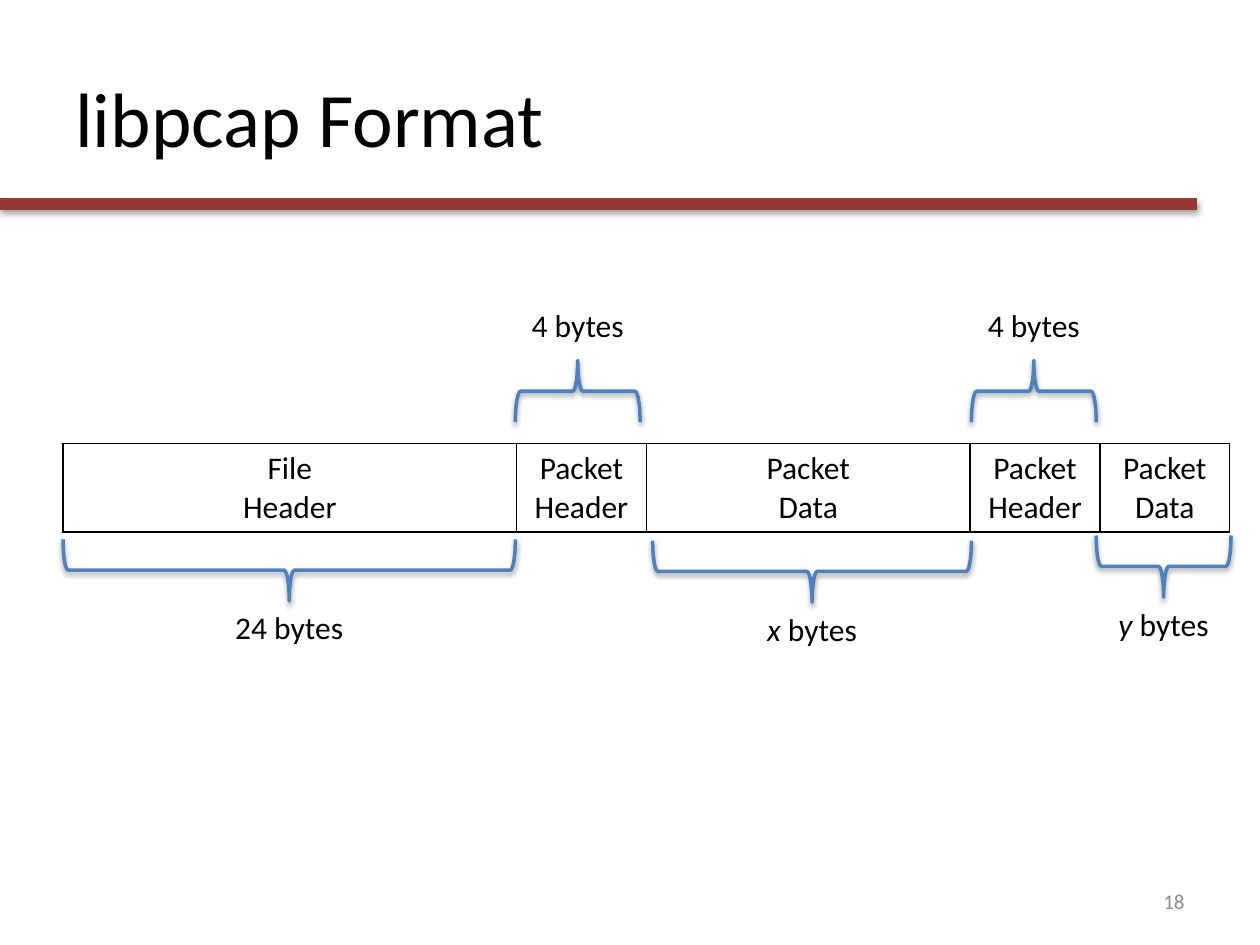
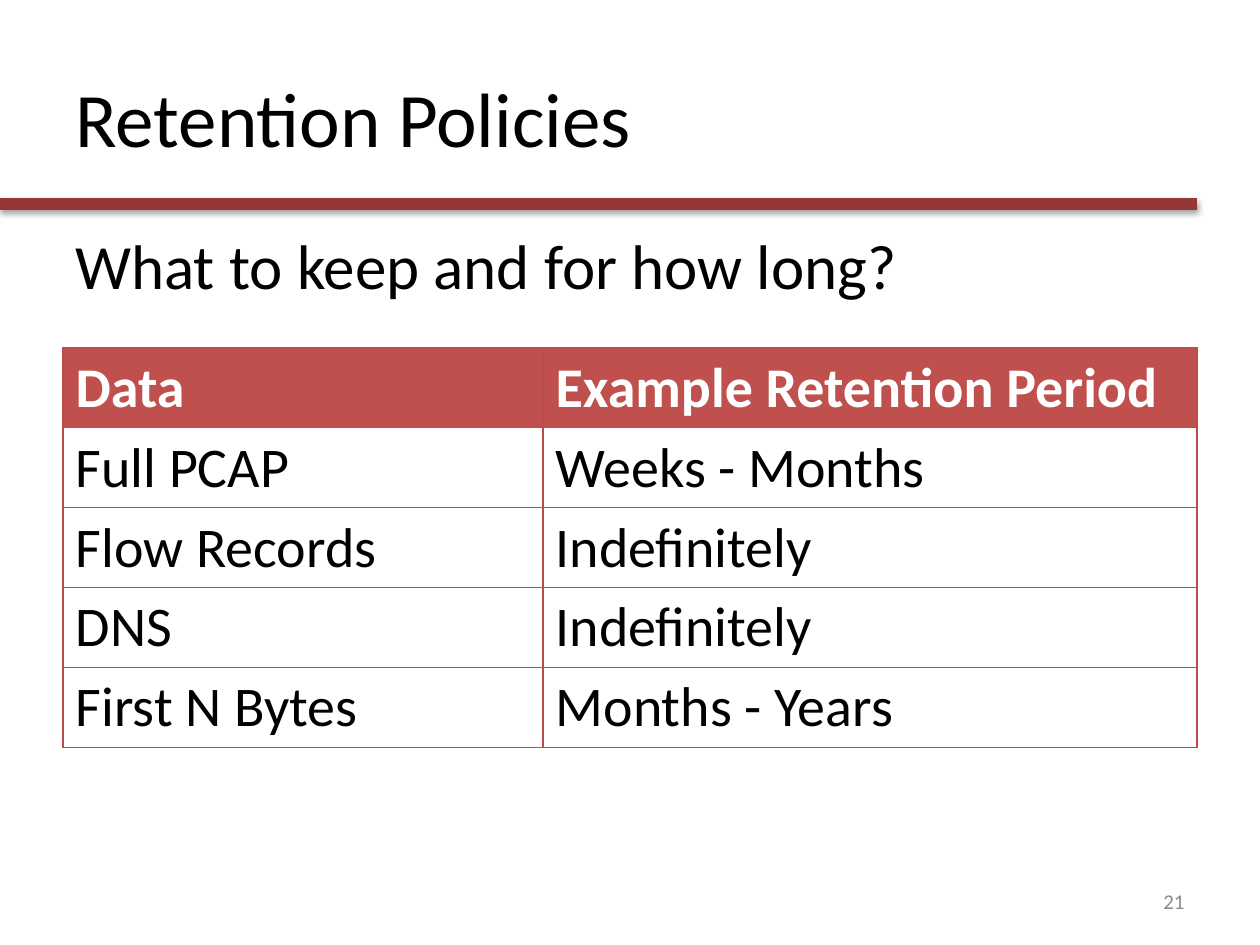
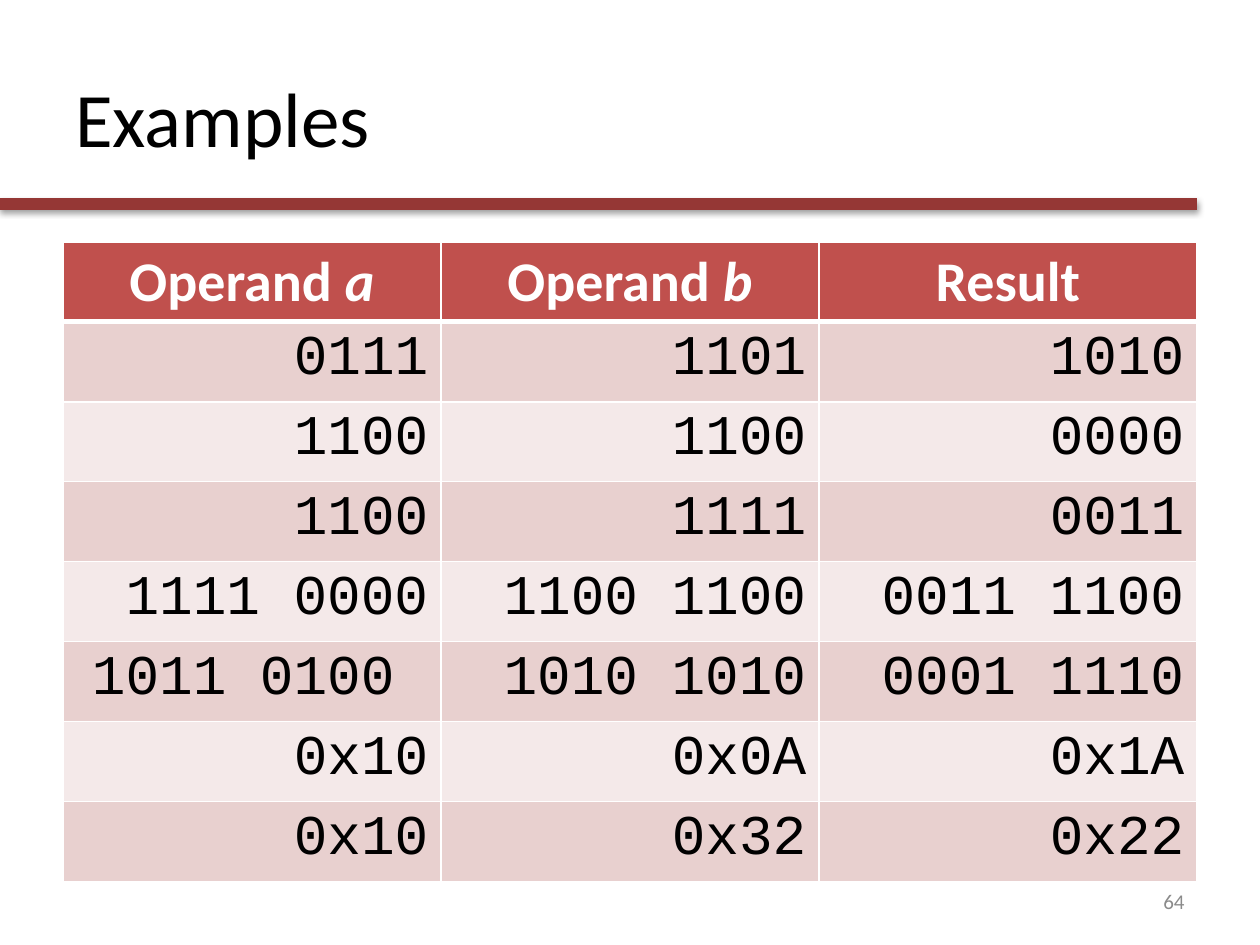
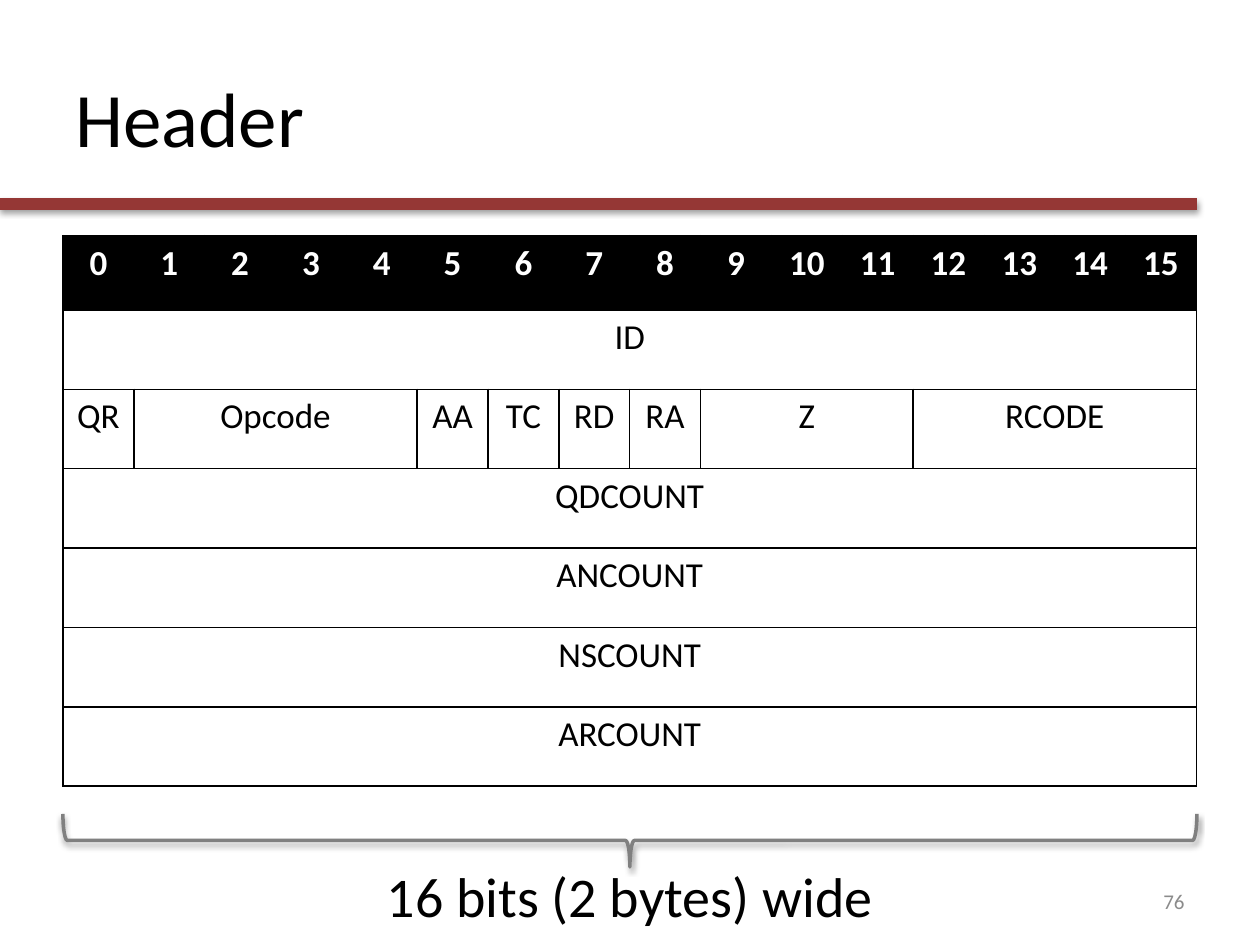
from dataclasses import dataclass

from pptx import Presentation
from pptx.dml.color import RGBColor
from pptx.enum.shapes import MSO_CONNECTOR, MSO_SHAPE as Shape
from pptx.enum.text import MSO_ANCHOR as Anchor, PP_ALIGN as Align
from pptx.oxml import parse_xml
from pptx.oxml.ns import nsdecls
from pptx.util import Inches, Pt

COLUMNS, ROWS = 100, 75
UNIT = Inches(10) // COLUMNS
MARGIN, CONTENT = 5, 90
BLACK, WHITE, GREY, PAGE_GREY = "000000", "FFFFFF", "808080", "8B8B8B"
BLUE, BAND_RED, HEAD_RED, EDGE_RED = "4F81BD", "953735", "C0504D", "BE4B48"
PINK, PALE_PINK = "E8D0CF", "F4E9E9"
SANS, MONO = "Calibri", "Courier New"


@dataclass
class CellStyle:
    """Look of the cells in one table row."""
    size: float
    colour: str = BLACK
    fill: str = ""
    bold: bool = False
    align: Align = Align.LEFT
    font: str = SANS
    edge: str = BLACK
    edge_width: float = 0.96
    edge_below: float = 0.96


def rgb(colour):
    """Turn a hex string into a colour."""
    return RGBColor.from_string(colour)


def grid(*lengths):
    """Turn grid units into slide lengths."""
    return [round(length * UNIT) for length in lengths]


def write(frame, text, size, colour=BLACK, align=Align.LEFT, bold=False, font=SANS):
    """Write one paragraph per line, with parts between asterisks in italics."""
    for index, line in enumerate(text.split("\n")):
        para = frame.add_paragraph() if index else frame.paragraphs[0]
        para.alignment = align
        para.font.size, para.font.name, para.font.bold = Pt(size), font, bold
        para.font.color.rgb = rgb(colour)
        for part, words in enumerate(line.split("*")):
            if words:
                span = para.add_run()
                span.text = words
                if part % 2:
                    span.font.italic = True


def add_text(page, place, text, size, anchor=Anchor.TOP, **look):
    """Add a text box at a place on the grid."""
    frame = page.shapes.add_textbox(*grid(*place)).text_frame
    frame.word_wrap, frame.vertical_anchor = True, anchor
    write(frame, text, size, **look)


def add_shadow(shape):
    """Give a shape or line a soft shadow straight below."""
    shape._element.spPr.append(parse_xml(
        f'<a:effectLst {nsdecls("a")}><a:outerShdw blurRad="40000" dist="20000" '
        'dir="5400000" rotWithShape="0"><a:srgbClr val="000000">'
        '<a:alpha val="38000"/></a:srgbClr></a:outerShdw></a:effectLst>'))


def set_line(shape, colour, width):
    """Set the outline of a shape or line."""
    shape.line.color.rgb, shape.line.width = rgb(colour), Pt(width)


def add_page(deck, title, number):
    """Add a page with its title, red band and page number."""
    page = deck.slides.add_slide(deck.slide_layouts[6])
    band = page.shapes.add_connector(MSO_CONNECTOR.STRAIGHT, *grid(0, 16.2, 95, 16.2))
    set_line(band, BAND_RED, 6.5)
    add_shadow(band)
    add_text(page, (MARGIN, 3, CONTENT, 12.5), title, 44, Anchor.MIDDLE)
    add_text(page, (71.7, 69.5, 23.3, 4), str(number), 12, Anchor.MIDDLE,
             colour=PAGE_GREY, align=Align.RIGHT)
    return page


def add_brace(page, left, top, width, depth, kind, turn, colour):
    """Add a brace turned to lie flat over the given area."""
    place = left + (width - depth) / 2, top + (depth - width) / 2, depth, width
    brace = page.shapes.add_shape(kind, *grid(*place))
    brace.rotation = turn
    brace.fill.background()
    set_line(brace, colour, 2)
    add_shadow(brace)


def add_measure(page, left, top, width, label, above=False):
    """Add a blue brace with its size label above or below."""
    add_brace(page, left, top, width, 4.9, Shape.RIGHT_BRACE, 270 if above else 90, BLUE)
    label_top = top - 4.8 if above else top + 5
    add_text(page, (left, label_top, width, 4), label, 18, align=Align.CENTER)


def set_borders(cell, style, above):
    """Draw the four borders of a cell."""
    widths = {"L": style.edge_width, "R": style.edge_width,
              "T": above, "B": style.edge_below}
    properties = cell._tc.get_or_add_tcPr()
    for index, (side, width) in enumerate(widths.items()):
        properties.insert(index, parse_xml(
            f'<a:ln{side} {nsdecls("a")} w="{Pt(width)}"><a:solidFill>'
            f'<a:srgbClr val="{style.edge}"/></a:solidFill></a:ln{side}>'))


def add_grid_table(page, top, widths, heights, rows, styles):
    """Add a table in which None extends the cell to its left."""
    place = MARGIN, top, sum(widths), sum(heights)
    table = page.shapes.add_table(len(rows), len(widths), *grid(*place)).table
    table.first_row = table.horz_banding = False
    for column, width in zip(table.columns, grid(*widths)):
        column.width = width
    for row, height in zip(table.rows, grid(*heights)):
        row.height = height
    above = styles[0].edge_width
    for row, (texts, style) in enumerate(zip(rows, styles)):
        for column, text in enumerate(texts):
            cell = table.cell(row, column)
            if style.fill:
                cell.fill.solid()
                cell.fill.fore_color.rgb = rgb(style.fill)
            else:
                cell.fill.background()
            set_borders(cell, style, above)
            if text is not None:
                write(cell.text_frame, text, style.size, style.colour,
                      style.align, style.bold, style.font)
                end = column + 1
                while end < len(texts) and texts[end] is None:
                    end += 1
                if end > column + 1:
                    cell.merge(table.cell(row, end - 1))
        above = style.edge_below


def spread(*fields):
    """Lay out (text, width) fields as cells, with None for each extra column."""
    return [text for name, width in fields for text in [name] + [None] * (width - 1)]


def build_format(deck):
    """Show the parts of a capture file and their sizes."""
    page = add_page(deck, "libpcap Format", 18)
    parts = ["File\nHeader", "Packet\nHeader", "Packet\nData",
             "Packet\nHeader", "Packet\nData"]
    add_grid_table(page, 35.2, [36, 10.3, 25.7, 10.3, 10.3], [4.1], [parts],
                   [CellStyle(18, align=Align.CENTER)])
    add_measure(page, 5, 42.8, 35.9, "24 bytes")
    add_measure(page, 40.9, 28.6, 9.9, "4 bytes", above=True)
    add_measure(page, 51.8, 42.9, 25.3, "*x *bytes")
    add_measure(page, 77.1, 28.6, 9.9, "4 bytes", above=True)
    add_measure(page, 87, 42.5, 10.7, "*y* bytes")


def build_retention(deck):
    """Show how long each kind of data is kept."""
    page = add_page(deck, "Retention Policies", 21)
    add_text(page, (MARGIN, 17.5, CONTENT, 49.5), "What to keep and for how long?", 36)
    rows = [["Data", "Example Retention Period"],
            ["Full PCAP", "Weeks - Months"],
            ["Flow Records", "Indefinitely"],
            ["DNS", "Indefinitely"],
            ["First N Bytes", "Months - Years"]]
    edges = dict(edge=EDGE_RED, edge_width=0.75, edge_below=0.75)
    head = CellStyle(32, WHITE, HEAD_RED, True, **edges)
    body = CellStyle(32, **edges)
    add_grid_table(page, 27.6, [38.1, 51.9], [5.5] * len(rows), rows,
                   [head] + [body] * 4)


def build_examples(deck):
    """Show operands and results in a banded table."""
    page = add_page(deck, "Examples", 64)
    rows = [["Operand *a*", "Operand *b*", "Result"],
            ["0111", "1101", "1010"],
            ["1100", "1100", "0000"],
            ["1100", "1111", "0011"],
            ["1111 0000", "1100 1100", "0011 1100"],
            ["1011 0100 ", "1010 1010", "0001 1110"],
            ["0x10", "0x0A", "0x1A"],
            ["0x10", "0x32", "0x22"]]
    head = CellStyle(32, WHITE, HEAD_RED, True, Align.CENTER, edge=WHITE, edge_below=3)
    odd, even = (CellStyle(32, fill=fill, align=Align.RIGHT, font=MONO, edge=WHITE)
                 for fill in (PINK, PALE_PINK))
    add_grid_table(page, 19.2, [CONTENT / 3] * 3, [5.5] + [6.35] * 7, rows,
                   [head] + [odd, even] * 3 + [odd])


def build_header(deck):
    """Show the header fields over their sixteen bits."""
    page = add_page(deck, "Header", 76)
    bits = 16
    flags = spread(("QR", 1), ("Opcode", 4), ("AA", 1), ("TC", 1),
                   ("RD", 1), ("RA", 1), ("Z", 3), ("RCODE", 4))
    counts = [spread((name, bits))
              for name in ("QDCOUNT", "ANCOUNT", "NSCOUNT", "ARCOUNT")]
    rows = [[str(bit) for bit in range(bits)], spread(("ID", bits)), flags, *counts]
    head = CellStyle(20, WHITE, BLACK, True, Align.CENTER)
    body = CellStyle(20, align=Align.CENTER)
    add_grid_table(page, 18.7, [CONTENT / bits] * bits, [5.9] + [6.3] * 6, rows,
                   [head] + [body] * 6)
    add_brace(page, MARGIN, 64.6, CONTENT, 4.2, Shape.LEFT_BRACE, 270, GREY)
    add_text(page, (29, 67.9, 42, 6.3), "16 bits (2 bytes) wide", 32,
             align=Align.CENTER)


def main():
    """Build and save the deck."""
    deck = Presentation()
    deck.slide_width, deck.slide_height = grid(COLUMNS, ROWS)
    for build in (build_format, build_retention, build_examples, build_header):
        build(deck)
    deck.save("out.pptx")


if __name__ == "__main__":
    main()
